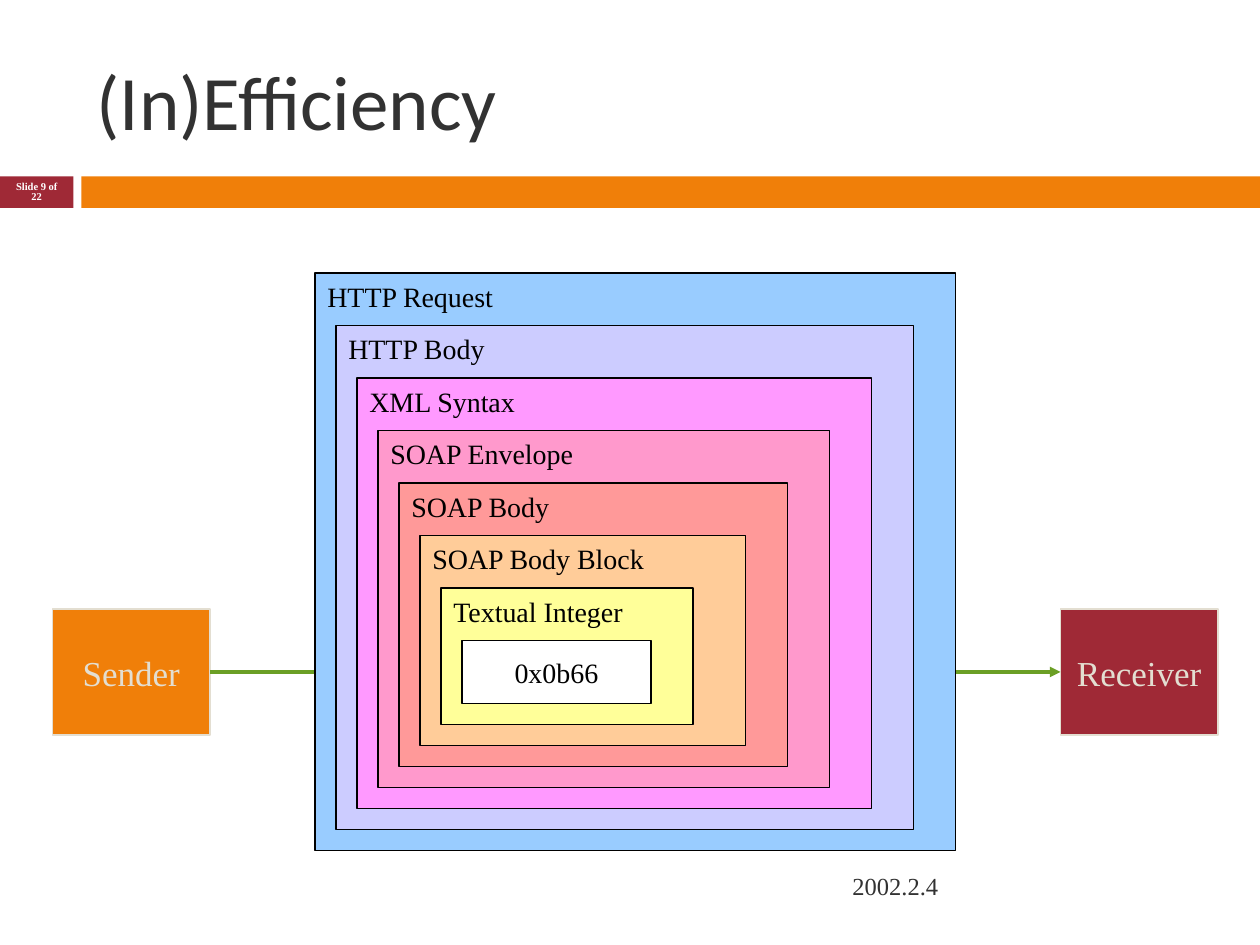
from lxml import etree
from pptx import Presentation
from pptx.dml.color import RGBColor
from pptx.enum.shapes import MSO_CONNECTOR, MSO_SHAPE
from pptx.enum.text import MSO_ANCHOR, PP_ALIGN
from pptx.oxml.ns import qn
from pptx.util import Pt

RECT, LINE = MSO_SHAPE.RECTANGLE, MSO_CONNECTOR.STRAIGHT
TOP, MIDDLE = MSO_ANCHOR.TOP, MSO_ANCHOR.MIDDLE
LEFT, CENTER = PP_ALIGN.LEFT, PP_ALIGN.CENTER

THEME = {
    "head": "Calibri", "body": "Times New Roman",
    "ink": "323232", "black": "000000", "white": "FFFFFF", "cream": "E3DED1",
    "orange": "F07F09", "red": "9F2936", "green": "6B9F25",
    "title": 44, "end": 20, "layer": 16, "date": 14, "number": 6,
}

TITLE = "(In)Efficiency"
DATE = "2002.2.4"
NUMBER = "Slide 9 of 22"
BANDS = [(0, 42, "red"), (46.5, 673.5, "orange")]  # left, width, fill
ENDS = [("Sender", 30, "orange"), ("Receiver", 606, "red")]  # name, left, fill
LAYERS = [  # label, width, fill; outermost first
    ("HTTP Request", 366, "99CCFF"),
    ("HTTP Body", 330, "CCCCFF"),
    ("XML Syntax", 294, "FF99FF"),
    ("SOAP Envelope", 258, "FF99CC"),
    ("SOAP Body", 222, "FF9999"),
    ("SOAP Body Block", 186, "FFCC99"),
    ("Textual Integer", 144, "FFFF99"),
    ("0x0b66", 108, "FFFFFF"),
]

END_TOP, END_W, END_H = 348, 90, 72
NEST_LEFT, NEST_TOP, CORE_H = 180, 156, 36
STEP_X, STEP_Y, FOOT = 12, 30, 12


def color(name):
    return RGBColor.from_string(THEME.get(name, name))


def write(shape, text, size, ink, font="body", align=LEFT, anchor=MIDDLE,
          wrap=True, bold=False):
    frame = shape.text_frame
    frame.word_wrap = wrap
    frame.vertical_anchor = anchor
    para = frame.paragraphs[0]
    para.alignment = align
    run = para.add_run()
    run.text = text
    run.font.name = THEME[font]
    run.font.size = Pt(THEME[size])
    run.font.bold = bold
    run.font.color.rgb = color(ink)
    return para


def add_box(slide, left, top, width, height, fill, edge=None):
    box = slide.shapes.add_shape(RECT, Pt(left), Pt(top), Pt(width), Pt(height))
    box.shadow.inherit = False
    box.fill.solid()
    box.fill.fore_color.rgb = color(fill)
    if edge:
        box.line.color.rgb = color(edge)
        box.line.width = Pt(0.75)
    else:
        box.line.fill.background()
    return box


def add_text(slide, left, top, width, height, *args, **style):
    box = slide.shapes.add_textbox(Pt(left), Pt(top), Pt(width), Pt(height))
    return write(box, *args, **style)


def add_arrow(slide, start, end, y):
    arrow = slide.shapes.add_connector(LINE, Pt(start), Pt(y), Pt(end), Pt(y))
    arrow.line.color.rgb = color("green")
    arrow.line.width = Pt(2)
    etree.SubElement(arrow.line._get_or_add_ln(), qn("a:tailEnd"), type="triangle")
    etree.SubElement(arrow._element.spPr, qn("a:effectLst"))


def add_frame(slide):
    """Add the title, the bands, the date and the slide number."""
    for left, width, fill in BANDS:
        add_box(slide, left, 100.8, width, 18, fill)
    title = slide.shapes.title
    title.left, title.top, title.width, title.height = Pt(48), Pt(18), Pt(642), Pt(78)
    write(title, TITLE, "title", "ink", font="head")
    add_text(slide, 480, 492, 210, 28.8, DATE, "date", "ink")
    para = add_text(slide, 0, 100, 42, 19.5, NUMBER, "number", "white",
                    align=CENTER, bold=True)
    para.line_spacing = 0.8


def add_ends(slide):
    for name, left, fill in ENDS:
        box = add_box(slide, left, END_TOP, END_W, END_H, fill, "cream")
        write(box, name, "end", "cream", align=CENTER, wrap=False)
    add_arrow(slide, ENDS[0][1] + END_W, ENDS[1][1], END_TOP + END_H / 2)


def add_nest(slide):
    last = len(LAYERS) - 1
    for i, (label, width, fill) in enumerate(LAYERS):
        height = CORE_H + (last - i) * (STEP_Y + FOOT)
        box = add_box(slide, NEST_LEFT + i * STEP_X, NEST_TOP + i * STEP_Y,
                      width, height, fill, "black")
        core = i == last
        write(box, label, "layer", "black", wrap=False,
              align=CENTER if core else LEFT, anchor=MIDDLE if core else TOP)


def main():
    deck = Presentation()
    deck.slide_width, deck.slide_height = Pt(720), Pt(540)
    slide = deck.slides.add_slide(deck.slide_layouts[5])
    add_frame(slide)
    add_ends(slide)
    add_nest(slide)
    deck.save("out.pptx")


if __name__ == "__main__":
    main()
